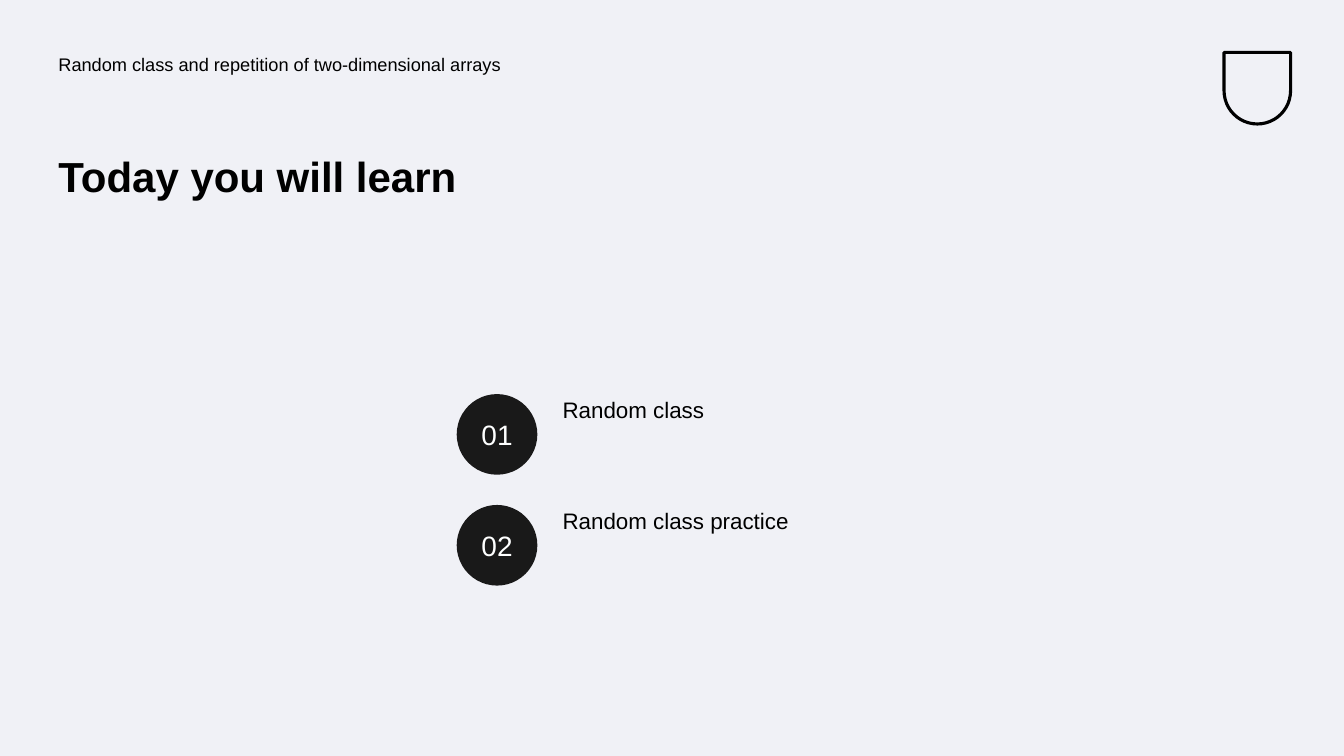
"""Build the lesson agenda slide with two numbered topics."""
import pptx
import pptx.dml.color
import pptx.enum.shapes
import pptx.enum.text
import pptx.util

Inches = pptx.util.Inches
Pt = pptx.util.Pt
SHAPES = pptx.enum.shapes.MSO_SHAPE
COLORS = {"background": "F0F1F6", "text": "000000", "disc": "191919", "number": "FEFFFF"}


def rgb(name):
    return pptx.dml.color.RGBColor.from_string(COLORS[name])


def write(shape, text, size, color="text", bold=False, line_spacing=0.9, space_before=10):
    frame = shape.text_frame
    frame.word_wrap = True
    frame.margin_left = frame.margin_right = Inches(0.05)
    frame.margin_top = frame.margin_bottom = Inches(0.05)
    frame.text = text
    paragraph = frame.paragraphs[0]
    paragraph.line_spacing = line_spacing
    paragraph.space_before = Pt(space_before)
    font = paragraph.runs[0].font
    font.name = "Arial"
    font.size = Pt(size)
    font.bold = bold
    font.color.rgb = rgb(color)
    return paragraph


deck = pptx.Presentation()
deck.slide_width = Inches(13.33)
deck.slide_height = Inches(7.5)
slide = deck.slides.add_slide(deck.slide_layouts[6])
slide.background.fill.solid()
slide.background.fill.fore_color.rgb = rgb("background")

badge = slide.shapes.add_shape(
    SHAPES.ROUND_2_SAME_RECTANGLE, Inches(12.14), Inches(0.52), Inches(0.66), Inches(0.71))
badge.rotation = 180
badge.adjustments[0] = 0.5
badge.shadow.inherit = False
badge.fill.background()
badge.line.color.rgb = rgb("text")
badge.line.width = Pt(2.25)

lesson = slide.shapes.add_textbox(Inches(0.53), Inches(0.5), Inches(6.14), Inches(0.5))
write(lesson, "Random class and repetition of two-dimensional arrays", 13)

title = slide.shapes.add_textbox(Inches(0.53), Inches(1.5), Inches(5.64), Inches(1.49))
write(title, "Today you will learn", 30, bold=True, space_before=0)

for index, topic in enumerate(["Random class", "Random class practice"]):
    top = Inches(3.91 + 1.1 * index)
    label = slide.shapes.add_textbox(Inches(5.53), top, Inches(4.63), Inches(0.99))
    write(label, topic, 16)

    disc = slide.shapes.add_shape(SHAPES.OVAL, Inches(4.53), top, Inches(0.8), Inches(0.8))
    disc.shadow.inherit = False
    disc.fill.solid()
    disc.fill.fore_color.rgb = rgb("disc")
    disc.line.fill.background()
    number = write(disc, f"{index + 1:02d}", 20, "number", line_spacing=1.0, space_before=0)
    number.alignment = pptx.enum.text.PP_ALIGN.CENTER
    disc.text_frame.vertical_anchor = pptx.enum.text.MSO_ANCHOR.MIDDLE

deck.save("out.pptx")
